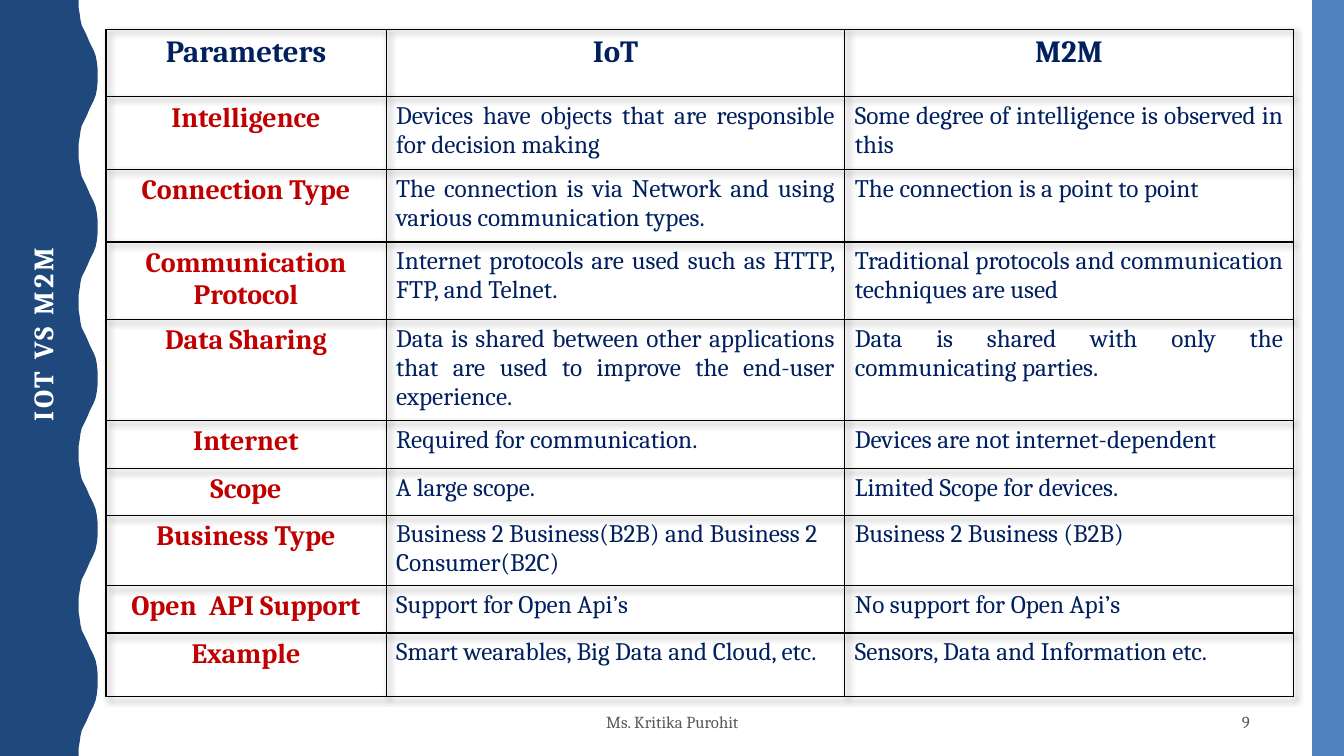
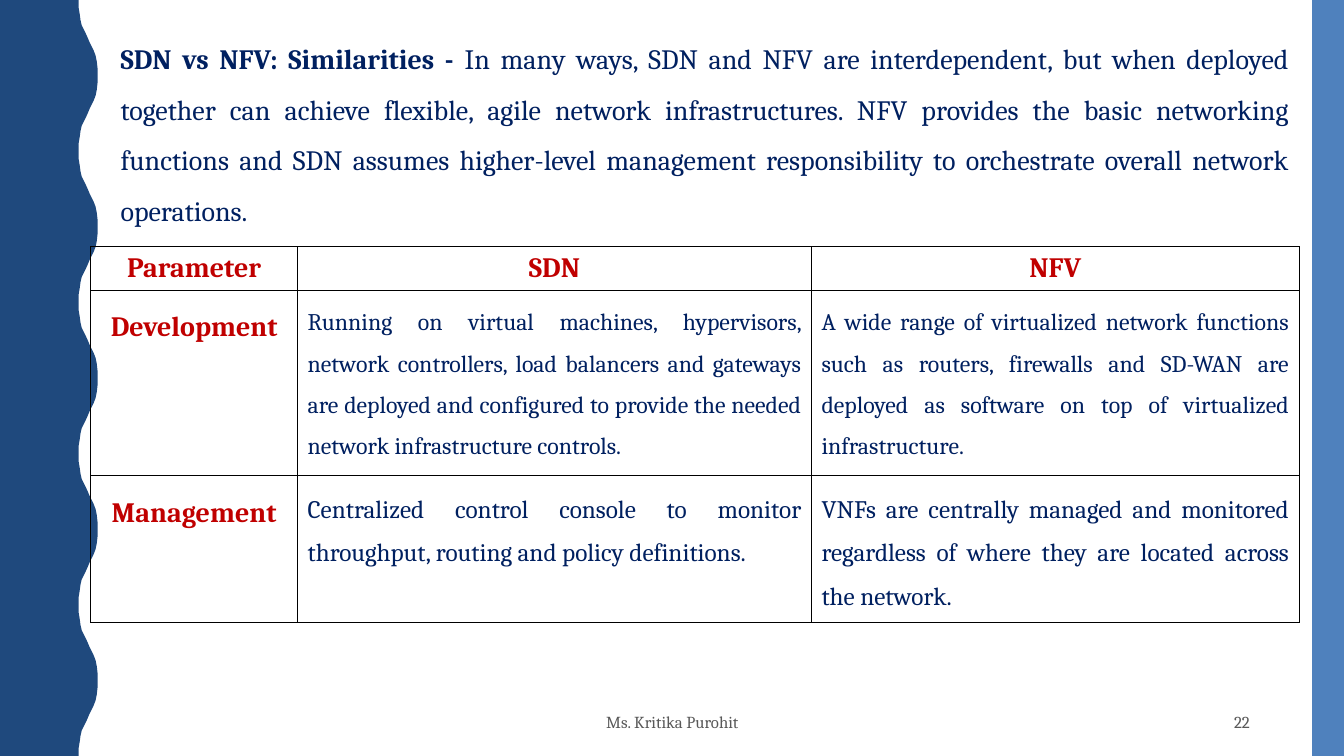
from dataclasses import dataclass

from lxml import etree
from pptx import Presentation
from pptx.dml.color import RGBColor
from pptx.enum.shapes import MSO_SHAPE
from pptx.enum.text import MSO_ANCHOR, PP_ALIGN
from pptx.oxml import parse_xml
from pptx.oxml.ns import qn
from pptx.util import Cm, Pt

# Shared style
NAVY = RGBColor(0x00, 0x20, 0x60)
RED = RGBColor(0xC0, 0x00, 0x00)
WAVE_BLUE = RGBColor(0x1F, 0x49, 0x7D)
BAND_BLUE = RGBColor(0x4F, 0x81, 0xBD)
GREY = RGBColor(0x59, 0x59, 0x59)
WHITE = RGBColor(0xFF, 0xFF, 0xFF)
FONT = "Cambria"
RECT = MSO_SHAPE.RECTANGLE
TOP, MIDDLE = MSO_ANCHOR.TOP, MSO_ANCHOR.MIDDLE
LEFT, CENTER = PP_ALIGN.LEFT, PP_ALIGN.CENTER
RIGHT, JUSTIFY = PP_ALIGN.RIGHT, PP_ALIGN.JUSTIFY
A_NS = "http://schemas.openxmlformats.org/drawingml/2006/main"

SLIDE_W, SLIDE_H = 33.87, 19.05
FOOTER = "Ms. Kritika Purohit"
FOOTER_TOP, FOOTER_H = 17.7, 0.97

# Wave edge: from trough to crest, as (x, y) in cm
WAVE_PERIOD, WAVE_COUNT = 3.81, 5
HALF_WAVE = (
    (1.98, 0), (1.98, 0.18), (2.01, 0.36), (2.03, 0.51), (2.06, 0.64),
    (2.11, 0.74), (2.16, 0.84), (2.21, 0.95), (2.26, 1.07), (2.31, 1.17),
    (2.36, 1.27), (2.41, 1.4), (2.44, 1.55), (2.46, 1.73), (2.46, 1.9),
)


@dataclass
class Style:
    size: float
    color: RGBColor = NAVY
    bold: bool = False
    align: PP_ALIGN = LEFT
    spacing: float = 1.0


@dataclass
class Box:
    left: float
    top: float
    width: float
    height: float


@dataclass
class Row:
    cells: tuple[str, str, str]
    height: float
    size: float = 18
    align: PP_ALIGN = JUSTIFY


@dataclass
class Comparison:
    left: float
    top: float
    widths: tuple[float, float, float]
    header: Row
    header_color: RGBColor
    rows: list[Row]
    spacing: float = 1.0
    shadow: bool = False


IOT_M2M = Comparison(
    2.67, 0.74, (7.06, 11.56, 11.3),
    Row(("Parameters", "IoT", "M2M"), 1.7, 22), NAVY,
    [
        Row(("Intelligence",
             "Devices have objects that are responsible for decision making",
             "Some degree of intelligence is observed in this"), 1.83),
        Row(("Connection Type",
             "The connection is via Network and using various communication types.",
             "The connection is a point to point"), 1.83),
        Row(("Communication Protocol",
             "Internet protocols are used such as HTTP, FTP, and Telnet.",
             "Traditional protocols and communication techniques are used"), 1.9),
        Row(("Data Sharing",
             "Data is shared between other applications that are used to improve "
             "the end-user experience.",
             "Data is shared with only the communicating parties."), 2.46),
        Row(("Internet", "Required for communication.",
             "Devices are not internet-dependent"), 1.22),
        Row(("Scope", "A large scope.", "Limited Scope for devices."), 1.17),
        Row(("Business Type",
             "Business 2 Business(B2B) and Business 2 Consumer(B2C)",
             "Business 2 Business (B2B)"), 1.73, align=LEFT),
        Row(("Open  API Support", "Support for Open Api’s",
             "No support for Open Api’s"), 1.19),
        Row(("Example", "Smart wearables, Big Data and Cloud, etc.",
             "Sensors, Data and Information etc."), 1.6),
    ],
    shadow=True,
)

SDN_NFV = Comparison(
    2.29, 6.22, (5.21, 12.95, 12.29),
    Row(("Parameter", "SDN", "NFV"), 1.09, 20), RED,
    [
        Row(("Development",
             "Running on virtual machines, hypervisors, network controllers, load "
             "balancers and gateways are deployed and configured to provide the "
             "needed network infrastructure controls.",
             "A wide range of virtualized network functions such as routers, "
             "firewalls and SD-WAN are deployed as software on top of virtualized "
             "infrastructure."), 4.67, 17),
        Row(("Management",
             "Centralized control console to monitor throughput, routing and "
             "policy definitions.",
             "VNFs are centrally managed and monitored regardless of where they "
             "are located across the network."), 3.57),
    ],
    spacing=1.5,
)

SIMILARITIES = (
    "SDN vs NFV: Similarities - ",
    "In many ways, SDN and NFV are interdependent, but when deployed together can "
    "achieve flexible, agile network infrastructures. NFV provides the basic "
    "networking functions and SDN assumes higher-level management responsibility "
    "to orchestrate overall network operations.",
)


def format_paragraph(p, style: Style) -> None:
    p.alignment = style.align
    p.line_spacing = style.spacing
    for r in p.runs:
        r.font.name = FONT
        r.font.size = Pt(style.size)
        r.font.bold = style.bold
        r.font.color.rgb = style.color


def add_text(s, box: Box, text: str, style: Style, anchor=TOP):
    sp = s.shapes.add_textbox(Cm(box.left), Cm(box.top), Cm(box.width), Cm(box.height))
    tf = sp.text_frame
    tf.word_wrap = True
    tf.vertical_anchor = anchor
    tf.text = text
    format_paragraph(tf.paragraphs[0], style)
    return sp


def paint(sp, color: RGBColor) -> None:
    sp.shadow.inherit = False
    sp.fill.solid()
    sp.fill.fore_color.rgb = color
    sp.line.fill.background()


def add_frame(s, number: int) -> None:
    # Wavy band on the left
    crest_to_trough = [(x, WAVE_PERIOD - y) for x, y in reversed(HALF_WAVE)]
    wave = HALF_WAVE + tuple(crest_to_trough)
    edge = [(x, y + i * WAVE_PERIOD) for i in range(WAVE_COUNT) for x, y in wave]
    outline = [(round(x * 100), round(y * 100)) for x, y in edge + [(0, SLIDE_H)]]
    builder = s.shapes.build_freeform(0, 0, scale=Cm(0.01))
    builder.add_line_segments(outline, close=True)
    paint(builder.convert_to_shape(), WAVE_BLUE)

    # Plain band on the right
    band_w = 0.8
    sp = s.shapes.add_shape(RECT, Cm(SLIDE_W - band_w), Cm(0), Cm(band_w), Cm(SLIDE_H))
    paint(sp, BAND_BLUE)

    # Footer and slide number
    add_text(s, Box(11.23, FOOTER_TOP, 11.43, FOOTER_H), FOOTER,
             Style(12, GREY, align=CENTER), MIDDLE)
    add_text(s, Box(23.93, FOOTER_TOP, 7.82, FOOTER_H), str(number),
             Style(12, GREY, align=RIGHT), MIDDLE)


def add_borders(cell) -> None:
    tc_pr = cell._tc.get_or_add_tcPr()
    for i, side in enumerate(("lnL", "lnR", "lnT", "lnB")):
        ln = etree.Element(qn(f"a:{side}"), w=str(Pt(1)))
        fill = etree.SubElement(ln, qn("a:solidFill"))
        etree.SubElement(fill, qn("a:srgbClr"), val="000000")
        tc_pr.insert(i, ln)


def add_table_shadow(table) -> None:
    effect = parse_xml(
        f'<a:effectLst xmlns:a="{A_NS}">'
        '<a:outerShdw blurRad="50800" dist="38100" dir="2700000" algn="tl" rotWithShape="0">'
        '<a:prstClr val="black"><a:alpha val="40000"/></a:prstClr>'
        '</a:outerShdw></a:effectLst>')
    table._tbl.tblPr.insert(0, effect)


def fill_cell(cell, text: str, style: Style) -> None:
    cell.fill.background()
    add_borders(cell)
    cell.text_frame.text = text
    format_paragraph(cell.text_frame.paragraphs[0], style)


def add_comparison(s, data: Comparison) -> None:
    rows = [data.header] + data.rows
    frame = s.shapes.add_table(
        len(rows), len(data.widths), Cm(data.left), Cm(data.top),
        Cm(sum(data.widths)), Cm(sum(row.height for row in rows)))
    table = frame.table
    table.first_row = False
    table.horz_banding = False
    if data.shadow:
        add_table_shadow(table)
    for column, width in zip(table.columns, data.widths):
        column.width = Cm(width)
    header_style = Style(data.header.size, data.header_color, True, CENTER)
    label_style = Style(20, RED, True, CENTER, data.spacing)
    for i, row in enumerate(rows):
        table.rows[i].height = Cm(row.height)
        body_style = Style(row.size, align=row.align, spacing=data.spacing)
        for j, text in enumerate(row.cells):
            if i == 0:
                style = header_style
            else:
                style = label_style if j == 0 else body_style
            fill_cell(table.cell(i, j), text, style)


def build_iot_slide(s) -> None:
    add_frame(s, 9)
    # Vertical title
    sp = add_text(s, Box(-2.31, 7.82, 7.06, 1.22), "IOT VS M2M",
                  Style(20, WHITE, True, CENTER, 0.9))
    sp.rotation = 270
    r = sp.text_frame.paragraphs[0].runs[0]
    r.font._element.set("spc", "200")
    add_comparison(s, IOT_M2M)


def build_sdn_slide(s) -> None:
    add_frame(s, 22)
    # Introduction with a bold lead
    lead, body = SIMILARITIES
    style = Style(20, align=JUSTIFY, spacing=1.5)
    sp = add_text(s, Box(2.79, 0.51, 29.95, 5.72), lead, style)
    p = sp.text_frame.paragraphs[0]
    p.add_run().text = body
    format_paragraph(p, style)
    p.space_before = Pt(7)
    p.runs[0].font.bold = True
    add_comparison(s, SDN_NFV)


def main() -> None:
    prs = Presentation()
    prs.slide_width, prs.slide_height = Cm(SLIDE_W), Cm(SLIDE_H)
    blank = prs.slide_layouts[6]
    for build in (build_iot_slide, build_sdn_slide):
        build(prs.slides.add_slide(blank))
    prs.save("out.pptx")


if __name__ == "__main__":
    main()
